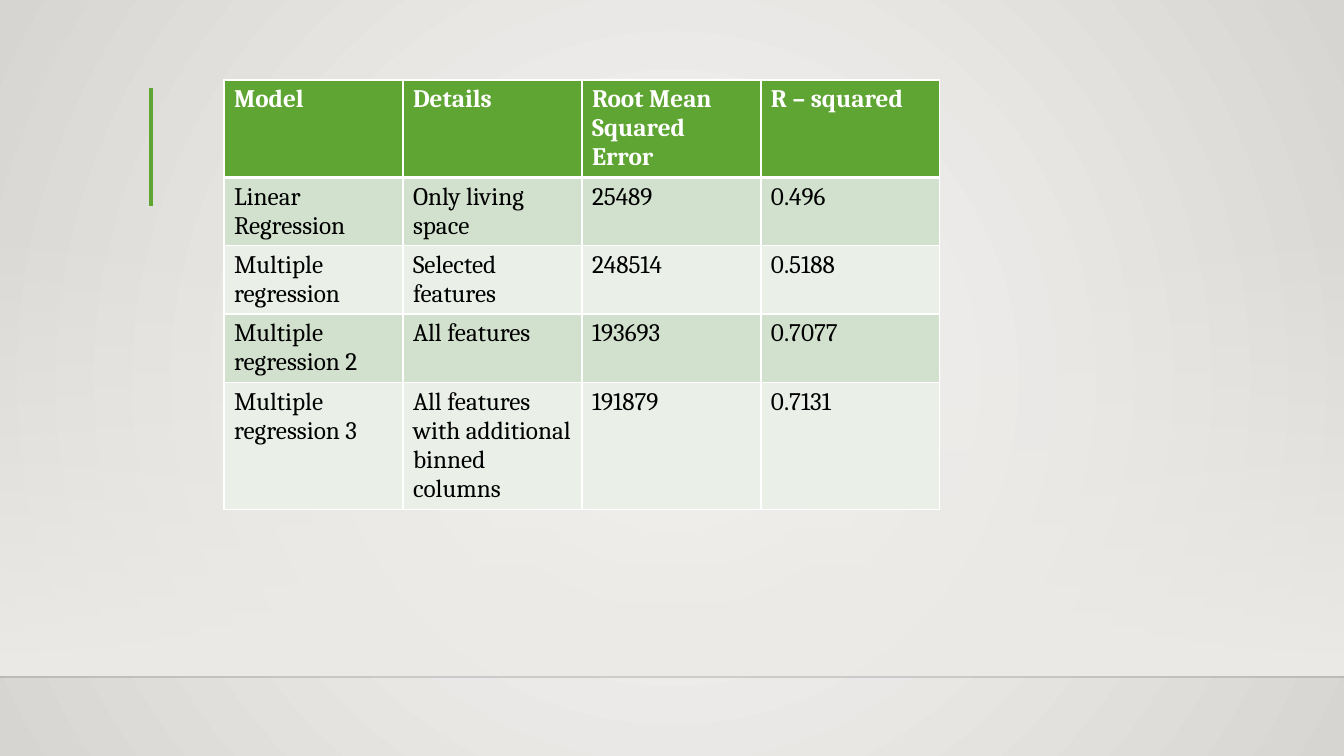
from lxml import etree
from pptx import Presentation
from pptx.dml.color import RGBColor
from pptx.enum.shapes import MSO_CONNECTOR, MSO_SHAPE
from pptx.oxml.ns import qn
from pptx.util import Emu, Pt

STRAIGHT = MSO_CONNECTOR.STRAIGHT
RECTANGLE = MSO_SHAPE.RECTANGLE
EMU_PER_PIXEL = 914400 / 100.8
BLANK_LAYOUT = 6
FONT = "Cambria"
COLORS = {
    "glow": "FAFAF9",
    "edge": "D7D5D2",
    "wall": "EDEBE7",
    "floor_line": "000001",
    "accent": "5FA534",
    "band_dark": "D2E1CE",
    "band_light": "EAF0E8",
    "white": "FFFFFF",
    "black": "000000",
}
MODEL_ROWS = [
    ("Model", "Details", "Root Mean Squared Error", "R – squared"),
    ("Linear Regression", "Only living space", "25489", "0.496"),
    ("Multiple regression", "Selected features", "248514", "0.5188"),
    ("Multiple regression 2", "All features", "193693", "0.7077"),
    ("Multiple regression 3", "All features with additional binned columns", "191879", "0.7131"),
]
ROW_HEIGHTS = [97, 68, 68, 68, 127]
COLUMN_WIDTH = 179


def px(pixels):
    return Emu(round(pixels * EMU_PER_PIXEL))


def rgb(name):
    return RGBColor.from_string(COLORS[name])


def set_opacity(color_element, percent):
    etree.SubElement(color_element, qn("a:alpha"), val=str(percent * 1000))


def set_gradient(fill, names):
    fill.gradient()
    for stop, name, position in zip(fill.gradient_stops, names, (0, 1)):
        stop.color.rgb = rgb(name)
        stop.position = position


def set_background(slide):
    set_gradient(slide.background.fill, ("glow", "edge"))
    gradient = next(slide.element.iter(qn("a:gradFill")))
    linear = gradient.find(qn("a:lin"))
    circle = etree.Element(qn("a:path"), {"path": "circle"})
    etree.SubElement(circle, qn("a:fillToRect"), {side: "50000" for side in "ltrb"})
    gradient.replace(linear, circle)


def add_wall(slide, left, top, width, height):
    shape = slide.shapes.add_shape(RECTANGLE, px(left), px(top), px(width), px(height))
    shape.shadow.inherit = False
    shape.line.fill.background()
    set_gradient(shape.fill, ("wall", "wall"))
    shape.fill.gradient_angle = 270
    set_opacity(next(shape.element.iter(qn("a:srgbClr"))), 0)


def add_line(slide, start, end, color, width, opacity=100):
    line = slide.shapes.add_connector(STRAIGHT, *map(px, start + end))
    line.line.color.rgb = rgb(color)
    line.line.width = Pt(width)
    if opacity < 100:
        set_opacity(next(line.element.iter(qn("a:srgbClr"))), opacity)
    etree.SubElement(line.element.spPr, qn("a:effectLst"))


def set_borders(cell, widths):
    properties = cell._tc.get_or_add_tcPr()
    for side, width in widths.items():
        border = etree.SubElement(properties, qn(f"a:ln{side}"), w=str(Pt(width)))
        fill = etree.SubElement(border, qn("a:solidFill"))
        etree.SubElement(fill, qn("a:srgbClr"), val=COLORS["white"])


def fill_cell(cell, text, fill, color, bold, borders):
    set_borders(cell, borders)
    cell.fill.solid()
    cell.fill.fore_color.rgb = rgb(fill)
    cell.text = text
    font = cell.text_frame.paragraphs[0].runs[0].font
    for name, value in {"name": FONT, "size": Pt(18), "bold": bold}.items():
        setattr(font, name, value)
    font.color.rgb = rgb(color)


def add_model_table(slide, left, top):
    column_count = len(MODEL_ROWS[0])
    frame = slide.shapes.add_table(
        len(MODEL_ROWS), column_count, px(left), px(top),
        px(COLUMN_WIDTH * column_count), px(sum(ROW_HEIGHTS)))
    table = frame.table
    for column in table.columns:
        column.width = px(COLUMN_WIDTH)
    for index, (height, texts) in enumerate(zip(ROW_HEIGHTS, MODEL_ROWS)):
        table.rows[index].height = px(height)
        header = index == 0
        band = "band_dark" if index % 2 else "band_light"
        fill = "accent" if header else band
        color = "white" if header else "black"
        borders = {"L": 1, "R": 1, "T": 3 if index == 1 else 1, "B": 3 if header else 1}
        for cell, text in zip(table.rows[index].cells, texts):
            fill_cell(cell, text, fill, color, header, borders)


def main():
    presentation = Presentation()
    presentation.slide_width = px(1344)
    presentation.slide_height = px(756)
    slide = presentation.slides.add_slide(presentation.slide_layouts[BLANK_LAYOUT])
    set_background(slide)
    add_wall(slide, 0, 222, 1344, 454)
    add_line(slide, (0, 677), (1344, 677), "floor_line", 1, opacity=20)
    add_line(slide, (151, 88), (151, 206), "accent", 3)
    add_model_table(slide, 224, 80)
    presentation.save("out.pptx")


main()
